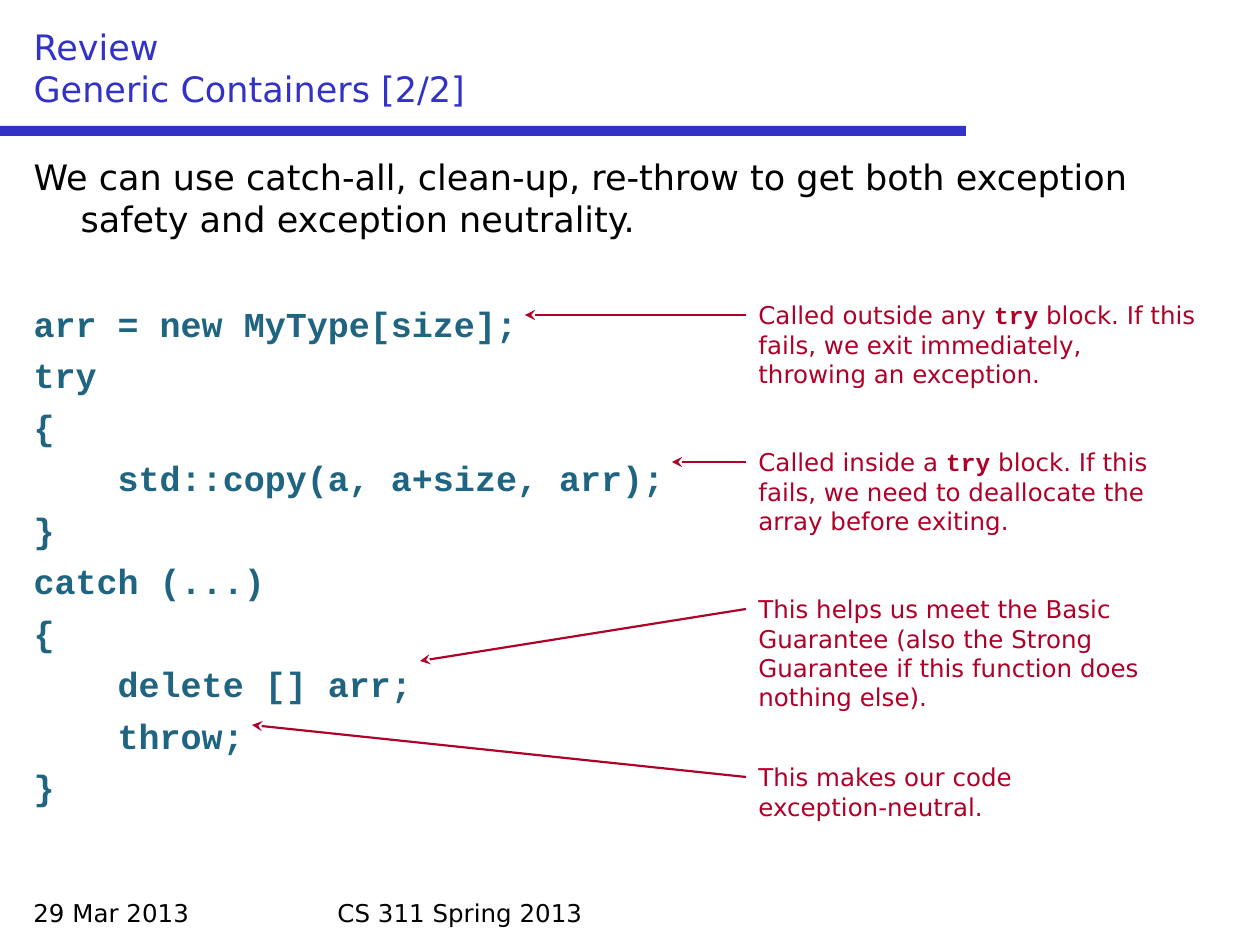
from lxml import etree
from pptx import Presentation
from pptx.dml.color import RGBColor
from pptx.enum import shapes, text
from pptx.oxml import ns
from pptx import util as u

SCALE = 914400 / 126
COLORS = {"blue": "3232C8", "black": "000000", "code": "1F6481", "note": "AF0028"}
SANS, MONO = "DejaVu Sans", "Courier New"
CODE = """arr = new MyType[size];
try
{
    std::copy(a, a+size, arr);
}
catch (...)
{
    delete [] arr;
    throw;
}"""
NOTES = [
    (294, 462, 102, ["Called outside any ", "try",
                     " block. If this fails, we exit immediately, throwing an exception."]),
    (441, 462, 102, ["Called inside a ", "try",
                     " block. If this fails, we need to deallocate the array before exiting."]),
    (588, 462, 132, ["This helps us meet the Basic Guarantee (also the Strong "
                     "Guarantee if this function does nothing else)."]),
    (756, 399, 73, ["This makes our code exception-neutral."]),
]
ARROWS = [(315, 525, 315), (462, 672, 462), (609, 420, 661), (777, 252, 725)]


def px(n):
    """Turn pixels into EMU."""
    return u.Emu(round(n * SCALE))


def color(name):
    """Look up a colour by name."""
    return RGBColor.from_string(COLORS[name])


def place(sp, x, y, w, h):
    """Move and size a shape."""
    sp.left, sp.top, sp.width, sp.height = px(x), px(y), px(w), px(h)


def style(font, size, fill, name=SANS, bold=False):
    """Format a font."""
    font.size, font.name, font.bold = u.Pt(size), name, bold
    font.color.rgb = color(fill)


def add_text(s, box, parts, size=14, fill="black"):
    """Add a wrapped text box whose every second run is code."""
    tf = s.shapes.add_textbox(*map(px, box)).text_frame
    tf.word_wrap = True
    for i, part in enumerate(parts):
        r = tf.paragraphs[0].add_run()
        r.text = part
        style(r.font, size, fill, MONO if i % 2 else SANS, bool(i % 2))


def add_bar(s, x, y, w, h):
    """Add the rule under the title."""
    sp = s.shapes.add_shape(shapes.MSO_SHAPE.RECTANGLE, *map(px, (x, y, w, h)))
    sp.shadow.inherit = False
    sp.fill.solid()
    sp.fill.fore_color.rgb = color("blue")
    sp.line.fill.background()


def add_arrow(s, x1, y1, x2, y2):
    """Add a line that ends in a stealth arrowhead."""
    sp = s.shapes.add_connector(shapes.MSO_CONNECTOR.STRAIGHT, *map(px, (x1, y1, x2, y2)))
    sp.line.width = u.Pt(1.25)
    sp.line.color.rgb = color("note")
    etree.SubElement(sp.line._get_or_add_ln(), ns.qn("a:tailEnd"), type="stealth")
    etree.SubElement(sp._element.spPr, ns.qn("a:effectLst"))


def fill_title(sp, words):
    """Fill the title placeholder."""
    place(sp, 21, 21, 1218, 95)
    tf = sp.text_frame
    tf.text = words
    tf.vertical_anchor = text.MSO_ANCHOR.BOTTOM
    tf.auto_size = text.MSO_AUTO_SIZE.NONE
    p = tf.paragraphs[0]
    p.alignment = text.PP_ALIGN.LEFT
    style(p.runs[0].font, 20, "blue")
    style(p.runs[-1].font, 20, "blue")


def add_line(p, words, before, **fmt):
    """Write one body paragraph with a hanging indent and no bullet."""
    pPr = p._p.get_or_add_pPr()
    pPr.set("marL", str(px(47)))
    pPr.set("indent", str(-px(47)))
    etree.SubElement(pPr, ns.qn("a:buNone"))
    p.space_before = u.Pt(before)
    r = p.add_run()
    r.text = words
    style(r.font, 20, **fmt)


def fill_body(sp, intro, code):
    """Fill the body placeholder with a sentence and a code listing."""
    place(sp, 21, 149, 1218, 735)
    tf = sp.text_frame
    tf.auto_size = text.MSO_AUTO_SIZE.NONE
    add_line(tf.paragraphs[0], intro, 0, fill="black")
    for i, words in enumerate(code.splitlines()):
        add_line(tf.add_paragraph(), words, 5.4 if i else 36,
                 fill="code", name=MONO, bold=True)


def main():
    """Build and save the slide."""
    prs = Presentation()
    prs.slide_width, prs.slide_height = px(1260), px(945)
    s = prs.slides.add_slide(prs.slide_layouts[1])
    add_bar(s, 0, 126, 966, 10)
    fill_title(s.shapes.title, "Review\vGeneric Containers [2/2]")
    fill_body(s.placeholders[1], "We can use catch-all, clean-up, re-throw to get both "
              "exception safety and exception neutrality.", CODE)
    add_text(s, (21, 892, 294, 42), ["29 Mar 2013"])
    add_text(s, (325, 892, 609, 42), ["CS 311 Spring 2013"])
    for y, w, h, parts in NOTES:
        add_text(s, (746, y, w, h), parts, fill="note")
    for y, tip_x, tip_y in ARROWS:
        add_arrow(s, 746, y, tip_x, tip_y)
    prs.save("out.pptx")


if __name__ == "__main__":
    main()
